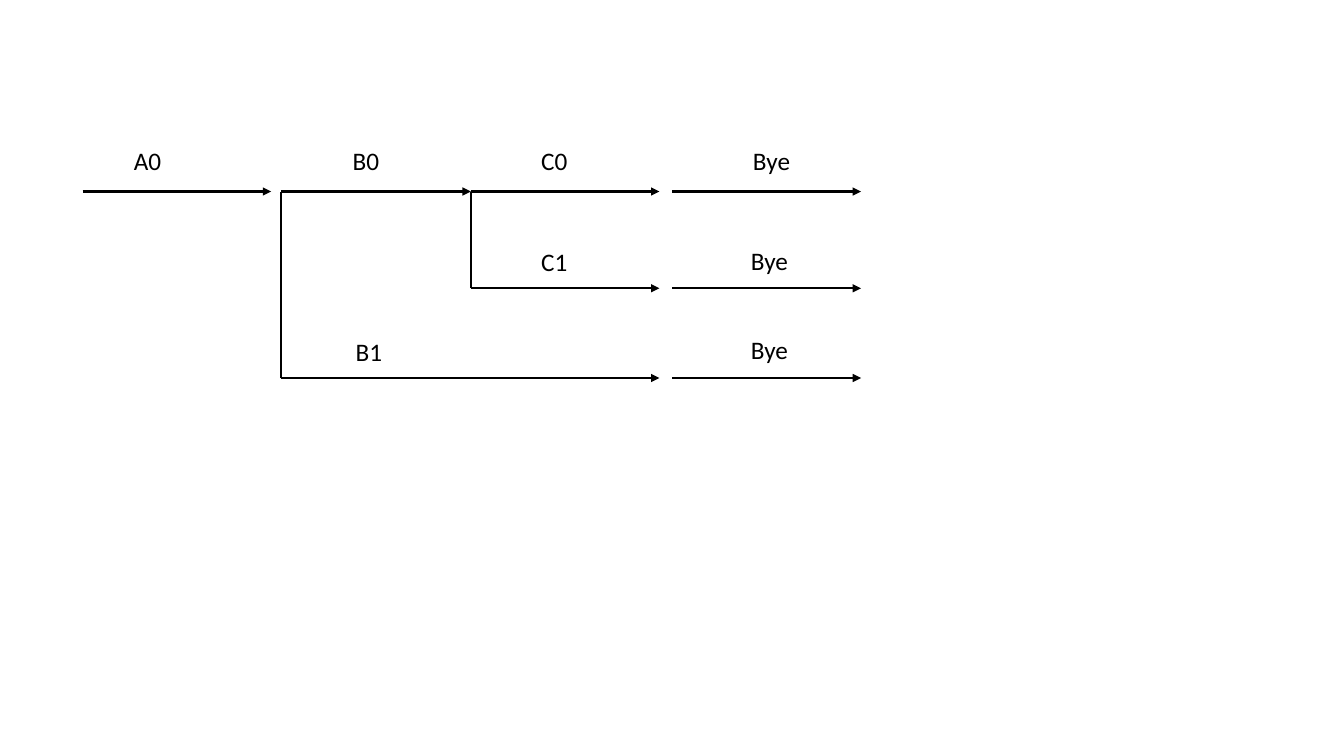
import pptx
import pptx.dml.color
import pptx.enum.shapes
import pptx.enum.text
import pptx.oxml.ns
import pptx.util
import lxml.etree

BLACK = pptx.dml.color.RGBColor(0x00, 0x00, 0x00)
PX = 9144  # EMU per px, 100 px to the inch

SLIDE_SIZE = (1333, 750)
TOP_ROW, MIDDLE_ROW, BOTTOM_ROW = 190, 286, 375
A_START, A_END = 82, 269
B_START, C_START, C_END = 279, 467, 654
BYE_START, BYE_END = 667, 854

ARROWS = [
    (A_START, A_END, TOP_ROW),
    (B_START, C_START, TOP_ROW),
    (B_START, C_END, BOTTOM_ROW),
    (C_START, C_END, MIDDLE_ROW),
    (C_START, C_END, TOP_ROW),
] + [(BYE_START, BYE_END, row) for row in (TOP_ROW, MIDDLE_ROW, BOTTOM_ROW)]

FORKS = [(B_START, BOTTOM_ROW), (C_START, MIDDLE_ROW)]

LABELS = [
    ("A0", 123, 139),
    ("B0", 340, 139),
    ("B1", 343, 329),
    ("C0", 527, 139),
    ("C1", 527, 239),
    ("Bye", 737, 139),
    ("Bye", 735, 238),
    ("Bye", 735, 327),
]


def write_text(frame, text, font="Calibri", size=18, color=BLACK):
    run = frame.paragraphs[0].add_run()
    run.text = text
    run.font.name = font
    run.font.size = pptx.util.Pt(size)
    run.font.color.rgb = color


class BranchDiagram:
    line_color = BLACK
    line_width = pptx.util.Pt(1.5)
    label_size = (66, 40)

    def __init__(self, slide):
        self.slide = slide

    def line(self, x1, y1, x2, y2, arrow=False):
        branch = self.slide.shapes.add_connector(
            pptx.enum.shapes.MSO_CONNECTOR.STRAIGHT,
            x1 * PX, y1 * PX, x2 * PX, y2 * PX)
        branch.line.color.rgb = self.line_color
        branch.line.width = self.line_width
        properties = branch.element.spPr
        if arrow:
            outline = properties.find(pptx.oxml.ns.qn("a:ln"))
            lxml.etree.SubElement(outline, pptx.oxml.ns.qn("a:tailEnd"), type="triangle")
        lxml.etree.SubElement(properties, pptx.oxml.ns.qn("a:effectLst"))

    def label(self, text, left, top):
        width, height = self.label_size
        box = self.slide.shapes.add_textbox(left * PX, top * PX, width * PX, height * PX)
        frame = box.text_frame
        frame.word_wrap = True
        frame.auto_size = pptx.enum.text.MSO_AUTO_SIZE.SHAPE_TO_FIT_TEXT
        write_text(frame, text)


def main():
    presentation = pptx.Presentation()
    presentation.slide_width, presentation.slide_height = (side * PX for side in SLIDE_SIZE)
    diagram = BranchDiagram(presentation.slides.add_slide(presentation.slide_layouts[6]))

    for start, end, row in ARROWS:
        diagram.line(start, row, end, row, arrow=True)
    for x, row in FORKS:
        diagram.line(x, TOP_ROW, x, row)
    for text, left, top in LABELS:
        diagram.label(text, left, top)

    presentation.save("out.pptx")


if __name__ == "__main__":
    main()
